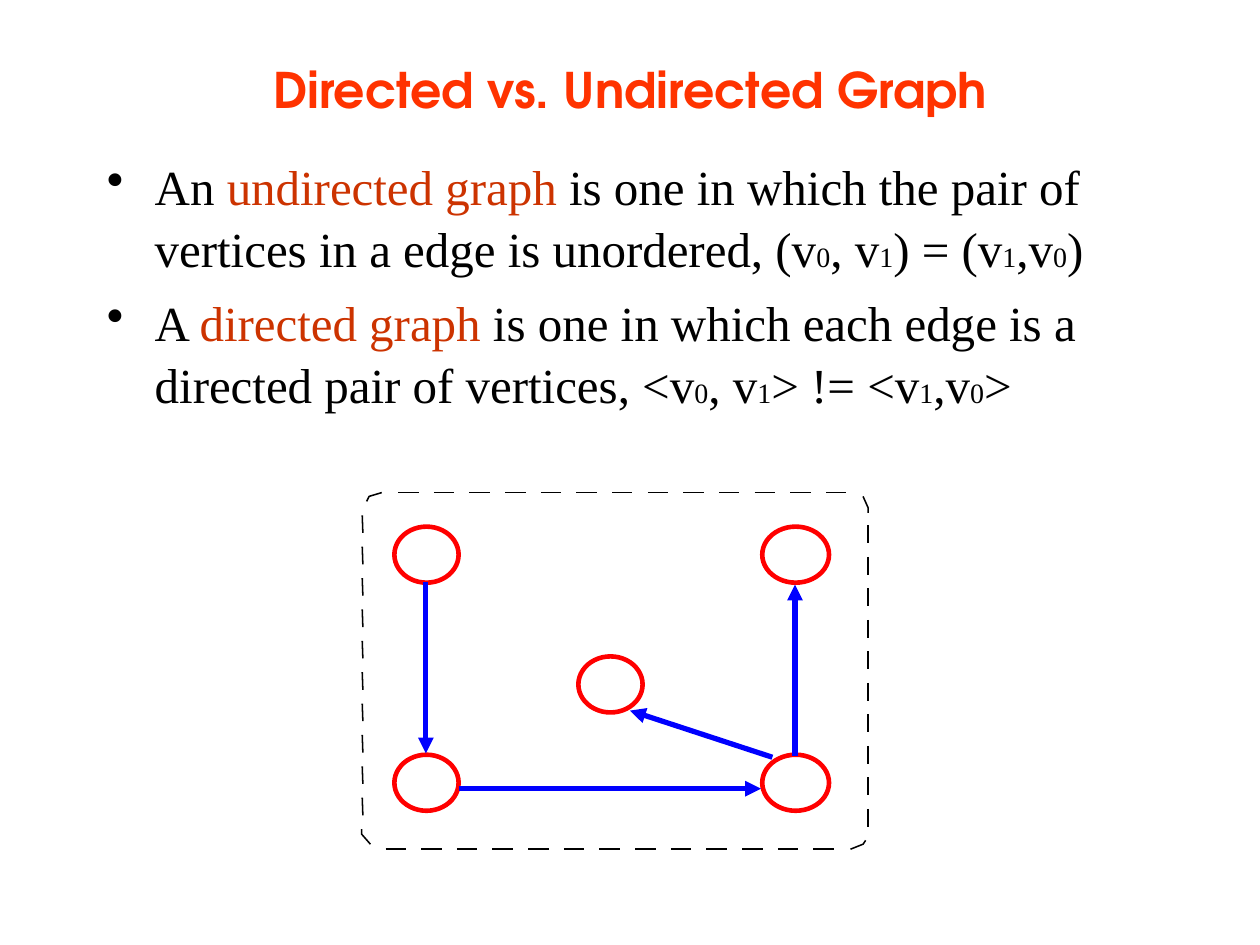
from dataclasses import dataclass

from lxml import etree
from pptx import Presentation
from pptx.dml.color import RGBColor
from pptx.enum.shapes import MSO_CONNECTOR, MSO_SHAPE
from pptx.enum.text import MSO_ANCHOR, PP_ALIGN
from pptx.oxml.ns import qn
from pptx.util import Inches, Pt

STRAIGHT = MSO_CONNECTOR.STRAIGHT
OVAL = MSO_SHAPE.OVAL
MIDDLE, TOP = MSO_ANCHOR.MIDDLE, MSO_ANCHOR.TOP
CENTER = PP_ALIGN.CENTER

# The slide is a grid of 100 columns by 75 rows
UNIT = Inches(0.1)
BLACK, WHITE, RED, BLUE = "000000", "FFFFFF", "FF0000", "0000FF"
TITLE_COLOR, TERM_COLOR = "FF3300", "CC3300"
TEXT_SIZE, INDEX_SIZE = 28, 16
INDENT = Inches(0.38)
DASH_WIDTH = 0.88


@dataclass
class Node:
    column: float
    row: float
    width: float = 5.1


@dataclass
class Edge:
    start: tuple[float, float]
    end: tuple[float, float]


@dataclass
class DashRun:
    """Equal dashes along one side of the frame."""
    start: tuple[float, float]
    dash: tuple[float, float]
    step: tuple[float, float]
    count: int


@dataclass
class Definition:
    opening: str
    term: str
    meaning: str
    pairs: list[str]  # text and vertex index in turn


DEFINITIONS = [
    Definition("An ", "undirected graph",
               " is one in which the pair of vertices in a edge is unordered, (v",
               ["0", ", v", "1", ") = (v", "1", ",v", "0", ")"]),
    Definition("A ", "directed graph",
               " is one in which each edge is a directed pair of vertices, <v",
               ["0", ", v", "1", "> != <v", "1", ",v", "0", ">"]),
]
NODES = [Node(31.3, 41.8), Node(60.5, 41.8, 5.3), Node(45.9, 52.1),
         Node(31.3, 59.9), Node(60.5, 59.9, 5.3)]
EDGES = [Edge((33.8, 46.2), (33.8, 59.8)), Edge((36.4, 62.6), (60.4, 62.6)),
         Edge((61.3, 60.1), (50, 56.4)), Edge((63.1, 60), (63.1, 46.4))]
DASH_RUNS = [
    DashRun((31.6, 39.1), (1.62, 0), (2.83, 0), 13),
    DashRun((30.6, 67.4), (1.62, 0), (2.83, 0), 13),
    DashRun((28.75, 40.9), (0.05, 1.4), (0, 2.49), 10),
    DashRun((68.9, 41.7), (0, 1.4), (0, 2.5), 10),
]
CORNERS = [
    [(30.3, 39.1), (29.3, 39.4), (29.1, 39.8)],
    [(68.9, 40.7), (68.9, 40.3), (68.5, 39.4)],
    [(28.7, 65.8), (28.7, 66.2), (29.4, 67)],
    [(67.5, 67.4), (68.5, 67), (68.7, 66.7)],
]


def grid(*lengths: float) -> list[int]:
    return [round(length * UNIT) for length in lengths]


def color(hex_value: str) -> RGBColor:
    return RGBColor.from_string(hex_value)


def set_line(shape, hex_value: str, width: float) -> None:
    shape.line.color.rgb = color(hex_value)
    shape.line.width = Pt(width)


def add_line(slide, start, end, hex_value: str, width: float):
    line = slide.shapes.add_connector(STRAIGHT, *grid(*start, *end))
    set_line(line, hex_value, width)
    etree.SubElement(line._element.spPr, qn("a:effectLst"))
    return line


def add_title(slide, text: str) -> None:
    title = slide.shapes.title
    title.left, title.top, title.width, title.height = grid(7.5, 0.8, 85, 12.5)
    title.text_frame.text = text
    title.text_frame.vertical_anchor = MIDDLE
    para = title.text_frame.paragraphs[0]
    para.alignment = CENTER
    para.font.name, para.font.size, para.font.bold = "TeX Gyre Adventor", Pt(28), True
    para.font.color.rgb = color(TITLE_COLOR)


def add_bullet(para) -> None:
    properties = para._p.get_or_add_pPr()
    properties.set("marL", str(INDENT))
    properties.set("indent", str(-INDENT))
    etree.SubElement(properties, qn("a:buChar"), char="•")


def add_run(para, text: str, size: int = TEXT_SIZE, hex_value: str = BLACK) -> None:
    span = para.add_run()
    span.text = text
    span.font.size = Pt(size)
    span.font.color.rgb = color(hex_value)


def add_definitions(slide, definitions: list[Definition]) -> None:
    box = slide.shapes.add_textbox(*grid(7.5, 11.7, 85, 59.2))
    frame = box.text_frame
    frame.word_wrap = True
    frame.vertical_anchor = TOP
    for number, definition in enumerate(definitions):
        para = frame.add_paragraph() if number else frame.paragraphs[0]
        add_bullet(para)
        para.line_spacing = 1.05
        para.space_before = Pt(7 if number else 0)
        para.font.name = "Times New Roman"
        add_run(para, definition.opening)
        add_run(para, definition.term, hex_value=TERM_COLOR)
        add_run(para, definition.meaning)
        for text in definition.pairs:
            add_run(para, text, INDEX_SIZE if text.isdigit() else TEXT_SIZE)


def add_dashes(slide, run: DashRun) -> None:
    for i in range(run.count):
        start = [at + i * step for at, step in zip(run.start, run.step)]
        end = [at + length for at, length in zip(start, run.dash)]
        add_line(slide, start, end, BLACK, DASH_WIDTH)


def add_corner(slide, points) -> None:
    first, *others = [grid(*point) for point in points]
    builder = slide.shapes.build_freeform(*first)
    builder.add_line_segments(others, close=False)
    corner = builder.convert_to_shape()
    corner.shadow.inherit = False
    corner.fill.background()
    set_line(corner, BLACK, DASH_WIDTH)


def add_node(slide, node: Node) -> None:
    circle = slide.shapes.add_shape(OVAL, *grid(node.column, node.row, node.width, 4.45))
    circle.shadow.inherit = False
    circle.fill.solid()
    circle.fill.fore_color.rgb = color(WHITE)
    set_line(circle, RED, 2.64)


def add_edge(slide, edge: Edge) -> None:
    arrow = add_line(slide, edge.start, edge.end, BLUE, 3)
    etree.SubElement(arrow.line._get_or_add_ln(), qn("a:tailEnd"), type="triangle")


def main() -> None:
    deck = Presentation()
    deck.slide_width, deck.slide_height = grid(100, 75)
    page = deck.slides.add_slide(deck.slide_layouts[5])

    # Text
    add_title(page, "Directed vs. Undirected Graph")
    add_definitions(page, DEFINITIONS)

    # Dashed frame
    for run in DASH_RUNS:
        add_dashes(page, run)
    for points in CORNERS:
        add_corner(page, points)

    # Directed graph
    for node in NODES:
        add_node(page, node)
    for edge in EDGES:
        add_edge(page, edge)

    deck.save("out.pptx")


if __name__ == "__main__":
    main()
